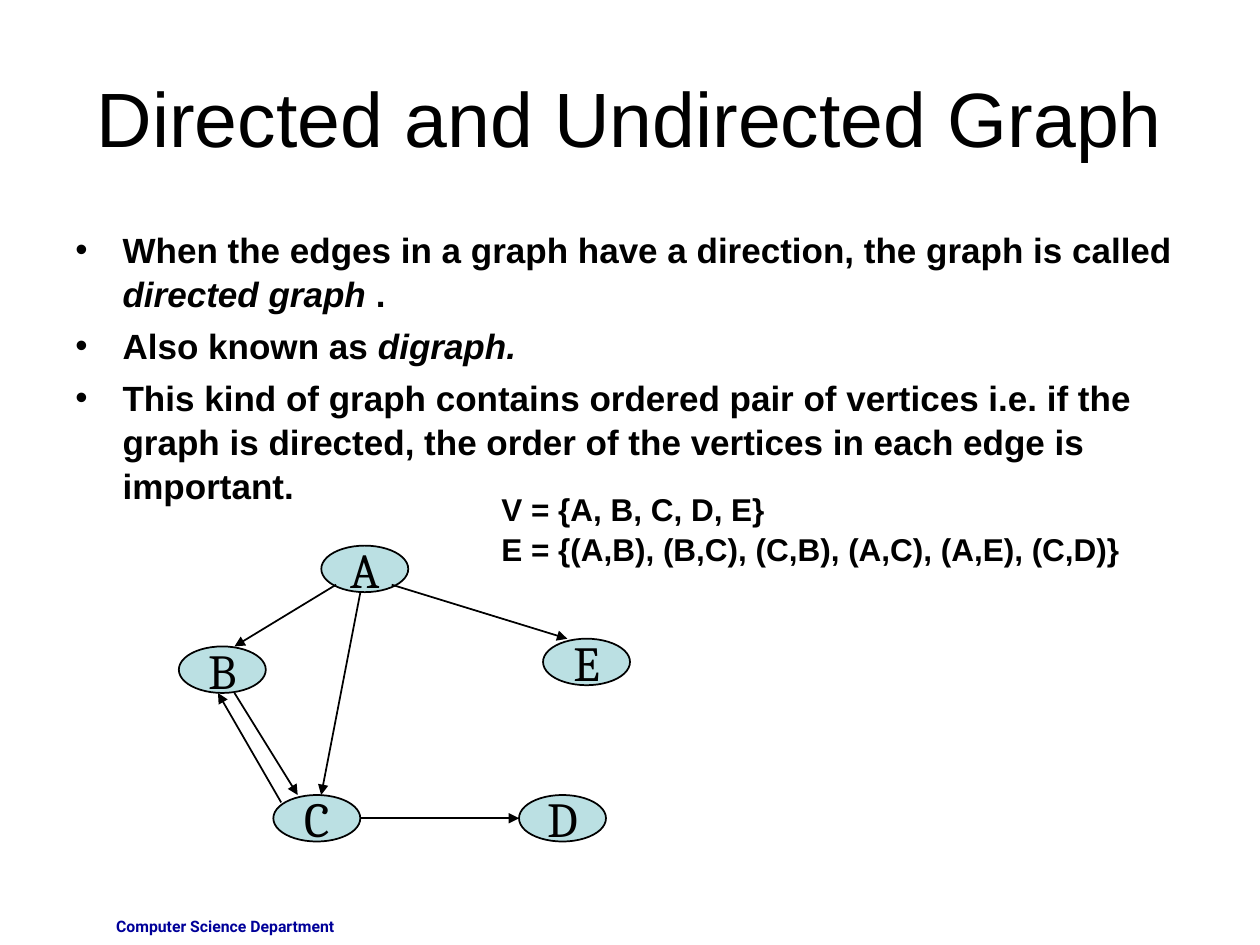
from lxml import etree
from pptx import Presentation
from pptx.dml.color import RGBColor
from pptx.enum.shapes import MSO_CONNECTOR, MSO_SHAPE
from pptx.enum.text import MSO_ANCHOR, PP_ALIGN
from pptx.oxml.ns import qn
from pptx.util import Pt

COLORS = {"ink": "000000", "node": "BBE0E3", "footer": "000099"}

TITLE = "Directed and Undirected Graph"
FOOTER = "Computer Science Department"
# Each point is a list of (text, italic) runs.
POINTS = [
    [("When the edges in a graph have a direction, the graph is called ", False),
     ("directed graph", True), (" .", False)],
    [("Also known as ", False), ("digraph.", True)],
    [("This kind of graph contains ordered pair of vertices i.e. if the graph is "
      "directed, the order of the vertices in each edge is important.", False)],
]
SETS = [
    "V = {A, B, C, D, E}",
    "E = {(A,B), (B,C), (C,B), (A,C), (A,E), (C,D)}",
]
# Left and top of each vertex, in points.
VERTICES = {
    "A": (183.6, 311.8),
    "B": (102.2, 369.4),
    "C": (156.2, 454.3),
    "D": (296.6, 454.3),
    "E": (310.3, 365),
}
VERTEX_SIZE = (49.7, 26.6)
# Each end is a vertex and a place on it, as fractions of its width and height.
EDGES = [
    (("A", 0.17, 0.84), ("B", 0.64, 0)),
    (("A", 0.81, 0.84), ("E", 0.28, 0)),
    (("A", 0.45, 1), ("C", 0.55, 0)),
    (("C", 1, 0.5), ("D", 0, 0.5)),
    (("B", 0.64, 1), ("C", 0.28, 0)),
    (("C", 0.09, 0.16), ("B", 0.45, 1)),
]
HANGING = Pt(27)


def color(name):
    return RGBColor.from_string(COLORS[name])


def style(paragraph, size, face="Arial", bold=False, ink="ink"):
    font = paragraph.font
    font.name, font.size, font.bold = face, Pt(size), bold
    font.color.rgb = color(ink)


def add_text_frame(slide, left, top, width, height, wrap=True):
    box = slide.shapes.add_textbox(Pt(left), Pt(top), Pt(width), Pt(height))
    box.text_frame.word_wrap = wrap
    return box.text_frame


def paragraphs(frame, items):
    """Yield a paragraph of the frame with each item."""
    for index, item in enumerate(items):
        yield (frame.add_paragraph() if index else frame.paragraphs[0]), item


def add_bullet(paragraph):
    properties = paragraph._p.get_or_add_pPr()
    properties.set("marL", str(HANGING))
    properties.set("indent", str(-HANGING))
    etree.SubElement(properties, qn("a:buFont")).set("typeface", "Arial")
    etree.SubElement(properties, qn("a:buChar")).set("char", "•")


def add_title(slide):
    title = slide.shapes.title
    title.left, title.top, title.width, title.height = Pt(36), Pt(21.6), Pt(648), Pt(90)
    title.text_frame.text = TITLE
    title.text_frame.vertical_anchor = MSO_ANCHOR.MIDDLE
    heading = title.text_frame.paragraphs[0]
    heading.alignment = PP_ALIGN.CENTER
    style(heading, 44)


def add_points(slide):
    frame = add_text_frame(slide, 36, 126, 648, 356.4)
    for paragraph, runs in paragraphs(frame, POINTS):
        add_bullet(paragraph)
        if paragraph._p is not frame.paragraphs[0]._p:
            paragraph.space_before = Pt(5)
        paragraph.line_spacing = 1.04
        style(paragraph, 20, bold=True)
        for text, italic in runs:
            run = paragraph.add_run()
            run.text = text
            run.font.italic = italic


def add_sets(slide):
    frame = add_text_frame(slide, 279.4, 275.8, 368, 72, wrap=False)
    for paragraph, text in paragraphs(frame, SETS):
        paragraph.text = text
        paragraph.line_spacing = 1.04
        style(paragraph, 18, bold=True)


def add_footer(slide):
    paragraph = add_text_frame(slide, 30.2, 520.6, 167.8, 19.4).paragraphs[0]
    paragraph.text = FOOTER
    paragraph.alignment = PP_ALIGN.RIGHT
    style(paragraph, 9, face="Roboto", bold=True, ink="footer")


def add_vertex(slide, label, left, top):
    width, height = VERTEX_SIZE
    vertex = slide.shapes.add_shape(
        MSO_SHAPE.OVAL, Pt(left), Pt(top), Pt(width), Pt(height))
    vertex.shadow.inherit = False
    vertex.fill.solid()
    vertex.fill.fore_color.rgb = color("node")
    vertex.line.color.rgb = color("ink")
    vertex.line.width = Pt(1)
    frame = vertex.text_frame
    frame.word_wrap = False
    frame.vertical_anchor = MSO_ANCHOR.MIDDLE
    frame.text = label
    frame.paragraphs[0].alignment = PP_ALIGN.CENTER
    style(frame.paragraphs[0], 28, face="Cambria")


def place_on(label, across, down):
    left, top = VERTICES[label]
    width, height = VERTEX_SIZE
    return Pt(left + across * width), Pt(top + down * height)


def add_edge(slide, start, end):
    edge = slide.shapes.add_connector(
        MSO_CONNECTOR.STRAIGHT, *place_on(*start), *place_on(*end))
    edge.line.color.rgb = color("ink")
    edge.line.width = Pt(1)
    etree.SubElement(edge.line._get_or_add_ln(), qn("a:tailEnd")).set("type", "triangle")
    etree.SubElement(edge._element.spPr, qn("a:effectLst"))


def main():
    deck = Presentation()
    deck.slide_width, deck.slide_height = Pt(720), Pt(540)
    slide = deck.slides.add_slide(deck.slide_layouts[5])
    add_footer(slide)
    add_title(slide)
    add_points(slide)
    for label, (left, top) in VERTICES.items():
        add_vertex(slide, label, left, top)
    for start, end in EDGES:
        add_edge(slide, start, end)
    add_sets(slide)
    deck.save("out.pptx")


if __name__ == "__main__":
    main()
